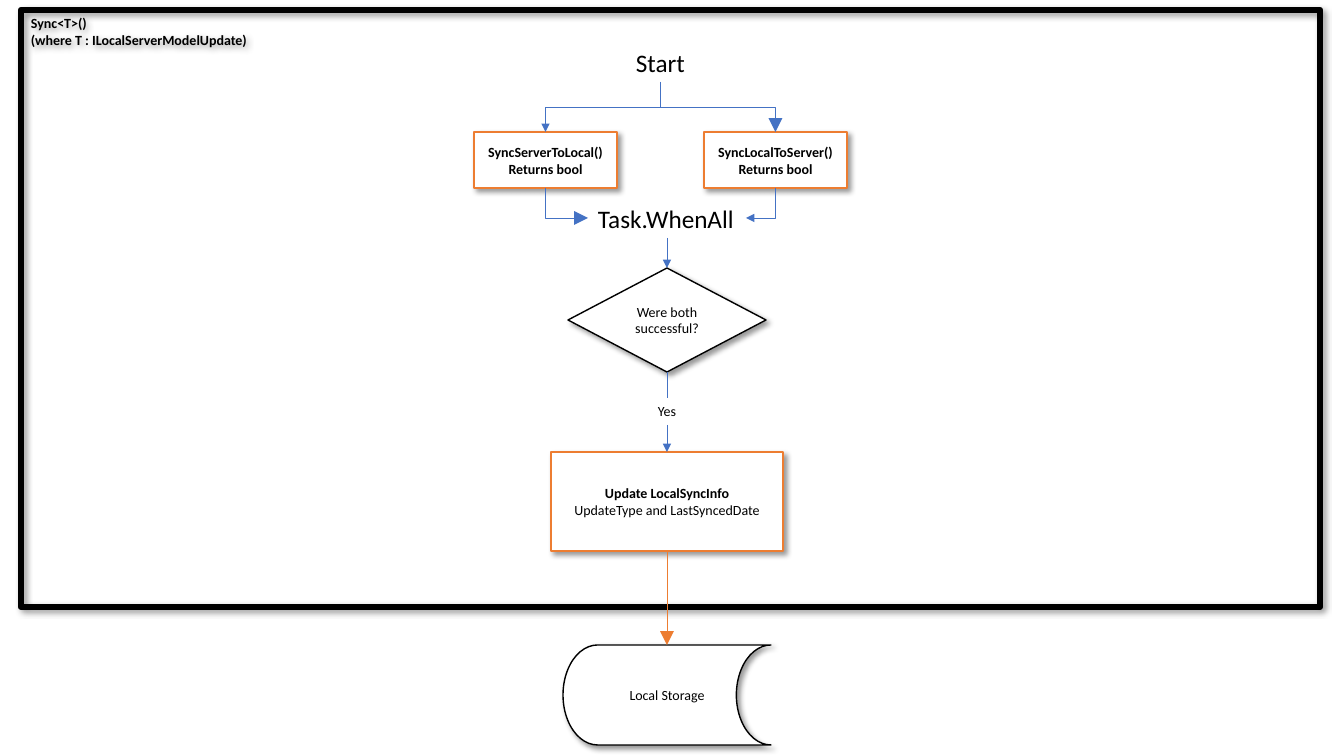
from lxml.etree import SubElement
from pptx import Presentation
from pptx.dml.color import RGBColor
from pptx.enum.shapes import MSO_CONNECTOR, MSO_SHAPE
from pptx.enum.text import MSO_ANCHOR, MSO_AUTO_SIZE, PP_ALIGN
from pptx.oxml.ns import qn
from pptx.util import Pt

EMU_PER_PIXEL = 914400 / 100.8
THEME = {
    "font": "Calibri", "body": 10, "heading": 18,
    "black": "000000", "white": "FFFFFF", "blue": "4472C4", "orange": "ED7D31",
}
TOP, LEFT, BOTTOM, RIGHT = range(4)

# Boxes: key, preset, (left, top, width, height), fill, line colour, line width, (text, bold) lines
PROCESS = MSO_SHAPE.FLOWCHART_PROCESS
BOXES = [
    ("frame", PROCESS, (21, 10, 1299, 597), None, "black", 4.5,
     [("Sync<T>()", True), ("(where T : ILocalServerModelUpdate)", True)]),
    ("storage", MSO_SHAPE.FLOWCHART_STORED_DATA, (563, 645, 208, 100), "white", "black", 1,
     [("Local Storage", False)]),
    ("update", PROCESS, (551, 452, 232, 99), "white", "orange", 1.5,
     [("Update LocalSyncInfo", True), ("UpdateType and LastSyncedDate", False)]),
    ("to server", PROCESS, (704, 132, 143, 56), "white", "orange", 1.5,
     [("SyncLocalToServer()", True), ("Returns bool", True)]),
    ("to local", PROCESS, (474, 132, 143, 56), "white", "orange", 1.5,
     [("SyncServerToLocal()", True), ("Returns bool", True)]),
    ("decision", MSO_SHAPE.FLOWCHART_DECISION, (568, 268, 198, 104), "white", "black", 1,
     [("Were both successful?", False)]),
]

# Labels: key, (left, top, width, height), text, type size, wrap, alignment
LABELS = [
    ("start", (626, 42, 69, 40), "Start", "heading", False, PP_ALIGN.LEFT),
    ("when all", (588, 198, 158, 40), "Task.WhenAll", "heading", False, PP_ALIGN.LEFT),
    ("yes", (634, 398, 66, 27), "Yes", "body", True, PP_ALIGN.CENTER),
]

# Connectors leave a bottom side: from, to, side reached, colour, arrowhead size
ELBOWS = [
    ("start", "to local", TOP, "blue", "med"),
    ("start", "to server", TOP, "blue", "lg"),
    ("to local", "when all", LEFT, "blue", "lg"),
    ("to server", "when all", RIGHT, "blue", "med"),
]
STRAIGHTS = [
    ("when all", "decision", TOP, "blue", "med"),
    ("decision", "yes", TOP, "blue", None),
    ("yes", "update", TOP, "blue", "med"),
    ("update", "storage", TOP, "orange", "lg"),
]


def emu(pixels):
    return round(pixels * EMU_PER_PIXEL)


def color(name):
    return RGBColor.from_string(THEME[name])


def write_text(text_frame, lines, size, alignment):
    text_frame.text = "\n".join(text for text, bold in lines)
    for paragraph, (text, bold) in zip(text_frame.paragraphs, lines):
        paragraph.alignment = alignment
        paragraph.font.name = THEME["font"]
        paragraph.font.size = Pt(THEME[size])
        paragraph.font.bold = bold
        paragraph.font.color.rgb = color("black")


def add_shadow(shape):
    shape.shadow.inherit = False
    effects = shape.element.spPr.find(qn("a:effectLst"))
    shadow = SubElement(effects, qn("a:outerShdw"), blurRad=str(Pt(4)), dist=str(Pt(3)),
                        dir="2700000", algn="tl", rotWithShape="0")
    tint = SubElement(shadow, qn("a:srgbClr"), val=THEME["black"])
    SubElement(tint, qn("a:alpha"), val="40000")


def add_box(slide, preset, bounds, fill, line, width, lines):
    shape = slide.shapes.add_shape(preset, *map(emu, bounds))
    if fill:
        shape.fill.solid()
        shape.fill.fore_color.rgb = color(fill)
    else:
        shape.fill.background()
    shape.line.color.rgb = color(line)
    shape.line.width = Pt(width)
    add_shadow(shape)
    text_frame = shape.text_frame
    text_frame.word_wrap = True
    text_frame.vertical_anchor = MSO_ANCHOR.MIDDLE if fill else MSO_ANCHOR.TOP
    if preset == MSO_SHAPE.FLOWCHART_DECISION:
        text_frame.margin_left = text_frame.margin_right = 0
        text_frame.margin_top = text_frame.margin_bottom = 0
    write_text(text_frame, lines, "body", PP_ALIGN.CENTER if fill else PP_ALIGN.LEFT)
    return shape


def add_label(slide, bounds, text, size, wrap, alignment):
    label = slide.shapes.add_textbox(*map(emu, bounds))
    label.text_frame.word_wrap = wrap
    label.text_frame.auto_size = MSO_AUTO_SIZE.SHAPE_TO_FIT_TEXT
    write_text(label.text_frame, [(text, False)], size, alignment)
    return label


def turn_elbow(connector, side):
    """Give the elbow a quarter turn, so that its first leg is vertical."""
    begin_x, begin_y = connector.begin_x, connector.begin_y
    end_x, end_y = connector.end_x, connector.end_y
    width, height = end_y - begin_y, abs(end_x - begin_x)
    properties = connector.element.spPr
    transform = properties.find(qn("a:xfrm"))
    for flip in ("flipH", "flipV"):
        transform.attrib.pop(flip, None)
    if end_x > begin_x:
        transform.set("rot", "16200000")
        transform.set("flipH", "1")
    else:
        transform.set("rot", "5400000")
    connector.left = (begin_x + end_x - width) // 2
    connector.top = (begin_y + end_y - height) // 2
    connector.width, connector.height = width, height
    if side != TOP:
        properties.find(qn("a:prstGeom")).set("prst", "bentConnector2")


def add_flow(slide, kind, source, target, side, line_color, head):
    connector = slide.shapes.add_connector(kind, 0, 0, 0, 0)
    connector.begin_connect(source, BOTTOM)
    connector.end_connect(target, side)
    if kind == MSO_CONNECTOR.ELBOW:
        turn_elbow(connector, side)
    connector.line.color.rgb = color(line_color)
    connector.line.width = Pt(0.5)
    properties = connector.element.spPr
    if head:
        SubElement(properties.find(qn("a:ln")), qn("a:tailEnd"), type="triangle", w=head, len=head)
    SubElement(properties, qn("a:effectLst"))


presentation = Presentation()
presentation.slide_width, presentation.slide_height = emu(1344), emu(756)
slide = presentation.slides.add_slide(presentation.slide_layouts[6])

# Boxes and labels, by key
parts = {key: add_box(slide, *box) for key, *box in BOXES}
parts.update({key: add_label(slide, *label) for key, *label in LABELS})

# Flow between them
for kind, flows in ((MSO_CONNECTOR.ELBOW, ELBOWS), (MSO_CONNECTOR.STRAIGHT, STRAIGHTS)):
    for source, target, *style in flows:
        add_flow(slide, kind, parts[source], parts[target], *style)

presentation.save("out.pptx")
